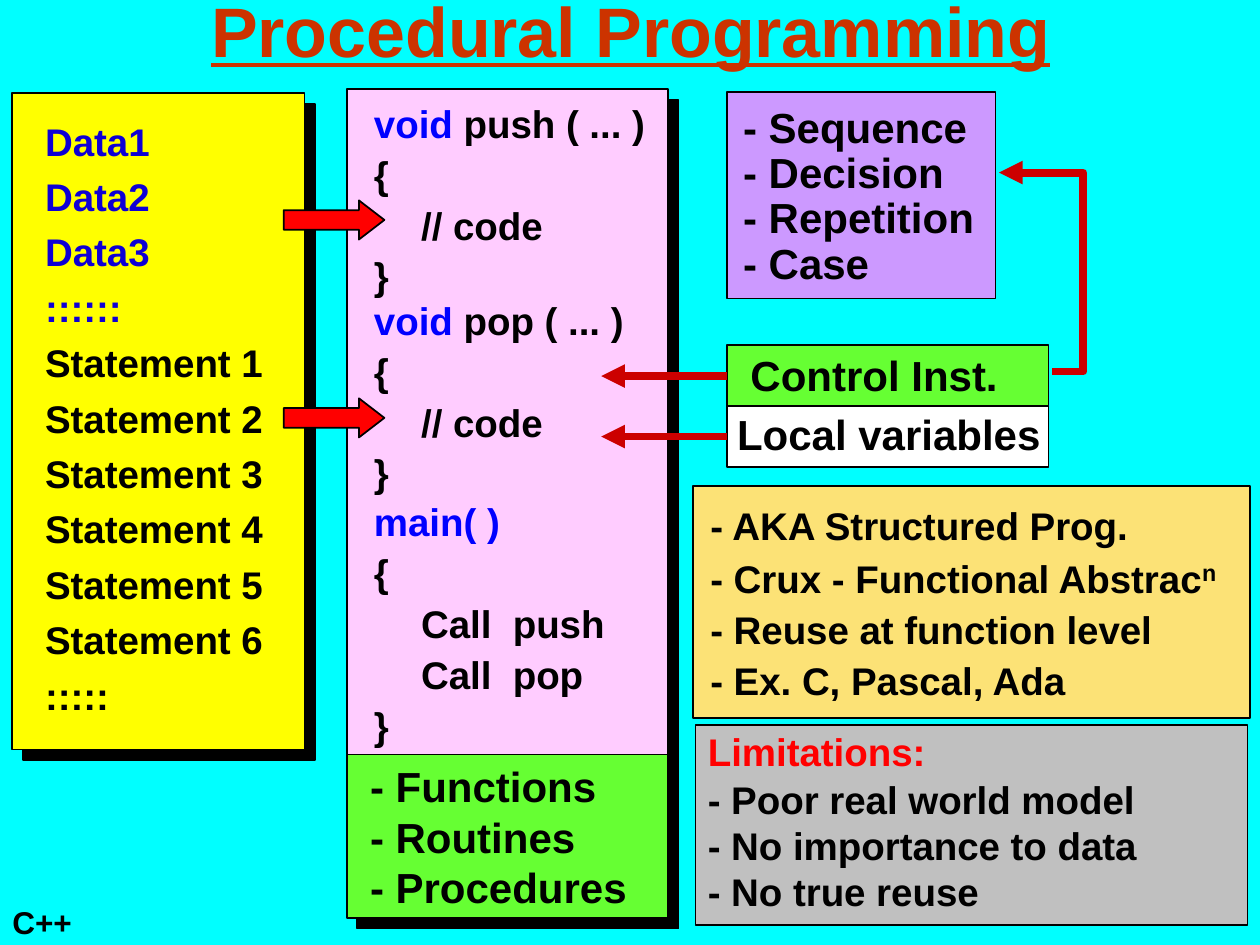
from dataclasses import dataclass

from lxml.etree import SubElement
from pptx import Presentation
from pptx.dml.color import RGBColor as RGB
from pptx.enum.shapes import MSO_CONNECTOR as CONNECTOR, MSO_SHAPE as SHAPE
from pptx.enum.text import MSO_ANCHOR as ANCHOR, MSO_AUTO_SIZE as AUTO, PP_ALIGN as ALIGN
from pptx.oxml.ns import qn
from pptx.util import Cm, Pt


@dataclass(frozen=True)
class Theme:
    font: str = "Arial"
    background: str = "00FFFF"
    title: str = "CC3300"
    text: str = "000000"
    data: str = "0F00D4"
    keyword: str = "0000FF"
    warning: str = "FF0000"
    arrow: str = "FF0000"
    link: str = "CC0000"
    yellow: str = "FFFF00"
    pink: str = "FFCCFF"
    purple: str = "CC99FF"
    green: str = "66FF33"
    white: str = "FFFFFF"
    gold: str = "FCE276"
    grey: str = "C0C0C0"
    title_size: int = 40
    large: int = 24
    body: int = 22
    power: int = 23
    footer: int = 18
    outline: float = 1
    link_width: float = 4.5
    shadow: float = 8.5
    indent: float = 0.95


class Deck:
    def __init__(self, theme):
        self.theme = theme
        self.prs = Presentation()
        self.prs.slide_width, self.prs.slide_height = Cm(25.4), Cm(19.05)
        self.s = None

    def slide(self):
        self.s = self.prs.slides.add_slide(self.prs.slide_layouts[5])
        fill = self.s.background.fill
        fill.solid()
        fill.fore_color.rgb = RGB.from_string(self.theme.background)

    def font(self, p, size, color):
        p.font.name = self.theme.font
        p.font.size = Pt(size)
        p.font.bold = True
        p.font.color.rgb = RGB.from_string(color)

    def title(self, text, x, y, w, h):
        sp = self.s.shapes.title
        sp.left, sp.top, sp.width, sp.height = map(Cm, (x, y, w, h))
        tf = sp.text_frame
        tf.text = text
        tf.auto_size = AUTO.NONE
        tf.vertical_anchor = ANCHOR.MIDDLE
        p = tf.paragraphs[0]
        p.alignment = ALIGN.CENTER
        self.font(p, self.theme.title_size, self.theme.title)
        p.font.underline = True

    def shape(self, kind, x, y, w, h, color, shadow=False):
        sp = self.s.shapes.add_shape(kind, *map(Cm, (x, y, w, h)))
        sp.shadow.inherit = False
        sp.fill.solid()
        sp.fill.fore_color.rgb = RGB.from_string(color)
        sp.line.color.rgb = RGB.from_string(self.theme.text)
        sp.line.width = Pt(self.theme.outline)
        if shadow:
            effects = sp._element.spPr.find(qn("a:effectLst"))
            outer = SubElement(effects, qn("a:outerShdw"), dist=str(Pt(self.theme.shadow)),
                               dir="2700000", algn="ctr", rotWithShape="0")
            SubElement(outer, qn("a:srgbClr"), val=self.theme.text)
        return sp

    def box(self, *args, shadow=False):
        return self.shape(SHAPE.RECTANGLE, *args, shadow=shadow)

    def block_arrow(self, x, y):
        sp = self.shape(SHAPE.RIGHT_ARROW, x, y, 2.03, 0.79, self.theme.arrow)
        sp.adjustments[0], sp.adjustments[1] = 0.5, 0.65

    def text(self, x, y, w, h, lines, size=None, color=None, spacing=1.0, wrap=False):
        tf = self.s.shapes.add_textbox(*map(Cm, (x, y, w, h))).text_frame
        tf.word_wrap = wrap
        tf.auto_size = AUTO.SHAPE_TO_FIT_TEXT
        for i, line in enumerate(lines):
            p = tf.paragraphs[0] if i == 0 else tf.add_paragraph()
            p.line_spacing = spacing
            self.font(p, size or self.theme.body, color or self.theme.text)
            self.runs(p, line)

    def runs(self, p, line):
        for part in [line] if isinstance(line, str) else line:
            text, style = (part, None) if isinstance(part, str) else part
            r = p.add_run()
            r.text = text
            if style == "indent":
                p._p.get_or_add_pPr().set("marL", str(Cm(self.theme.indent)))
            elif style == "power":
                r.font.size = Pt(self.theme.power)
                r._r.get_or_add_rPr().set("baseline", "30000")
            elif style:
                r.font.color.rgb = RGB.from_string(style)

    def link_style(self, sp):
        sp.line.color.rgb = RGB.from_string(self.theme.link)
        sp.line.width = Pt(self.theme.link_width)
        SubElement(sp.line._get_or_add_ln(), qn("a:tailEnd"), type="triangle")

    def link(self, source, x):
        y = source.top + source.height // 2
        cx = self.s.shapes.add_connector(CONNECTOR.STRAIGHT, source.left, y, Cm(x), y)
        cx.begin_connect(source, 1)
        self.link_style(cx)
        SubElement(cx._element.spPr, qn("a:effectLst"))

    def bent_link(self, points):
        start, *rest = [(Cm(x), Cm(y)) for x, y in points]
        builder = self.s.shapes.build_freeform(*start)
        builder.add_line_segments(rest, close=False)
        sp = builder.convert_to_shape()
        sp.shadow.inherit = False
        sp.fill.background()
        self.link_style(sp)


def main():
    t = Theme()
    d = Deck(t)
    d.slide()
    d.title("Procedural Programming", 0.33, -0.99, 24.77, 3.18)

    d.box(14.66, 1.85, 5.41, 4.17, t.purple)
    d.bent_link([(21.21, 7.49), (21.84, 7.49), (21.84, 3.48), (20.14, 3.48)])

    d.box(0.25, 1.88, 5.89, 13.23, t.yellow, shadow=True)
    data = [[(name, t.data)] for name in ("Data1", "Data2", "Data3", "::::::")]
    statements = [f"Statement {n}" for n in range(1, 7)]
    d.text(0.66, 2.06, 4.9, 12.55, data + statements + [":::::"], spacing=1.2)

    d.box(13.97, 9.8, 11.23, 4.67, t.gold)
    d.text(14.07, 9.91, 11, 4.39, [
        "- AKA Structured Prog.",
        ["- Crux - Functional Abstrac", ("n", "power")],
        "- Reuse at function level",
        "- Ex. C, Pascal, Ada",
    ], spacing=1.1, wrap=True)

    d.box(14.02, 14.61, 11.13, 4.04, t.grey)
    d.text(14.02, 14.55, 5.31, 1.19, ["Limitations:"], color=t.warning, wrap=True)
    d.text(14.02, 15.52, 10.13, 3.05,
           ["- Poor real world model", "- No importance to data", "- No true reuse"], wrap=True)

    d.box(6.99, 1.8, 6.48, 13.41, t.pink, shadow=True)
    for y in (8.03, 4.04):
        d.block_arrow(5.72, y)
    d.box(6.99, 15.21, 6.48, 3.3, t.green, shadow=True)
    d.text(7.21, 15.21, 5.69, 3.3, ["- Functions", "- Routines", "- Procedures"], t.large)
    d.text(14.73, 2.03, 5.16, 3.91,
           ["- Sequence", "- Decision", "- Repetition", "- Case"], t.large, spacing=0.9)

    for name, y, w in (("push", 1.8, 5.97), ("pop", 5.77, 5.54)):
        code = [[("void", t.keyword), f" {name} ( ... )"], "{", [("// code", "indent")], "}"]
        d.text(7.29, y, w, 4.37, code, spacing=1.1)
    calls = [[(f"Call  {name}", "indent")] for name in ("push", "pop")]
    d.text(7.29, 9.83, 5.16, 5.38, [[("main( )", t.keyword)], "{", *calls, "}"], spacing=1.1)

    for label, y, color, x, text_y, w in (
        ("Control Inst.", 6.96, t.green, 14.88, 7.04, 5.49),
        ("Local variables", 8.18, t.white, 14.61, 8.23, 6.63),
    ):
        sp = d.box(14.66, y, 6.48, 1.24, color)
        d.text(x, text_y, w, 1.17, [label], t.large, spacing=0.9)
        d.link(sp, 12.12)

    d.text(0, 18.08, 1.7, 1.02, ["C++"], t.footer)
    d.prs.save("out.pptx")


if __name__ == "__main__":
    main()
